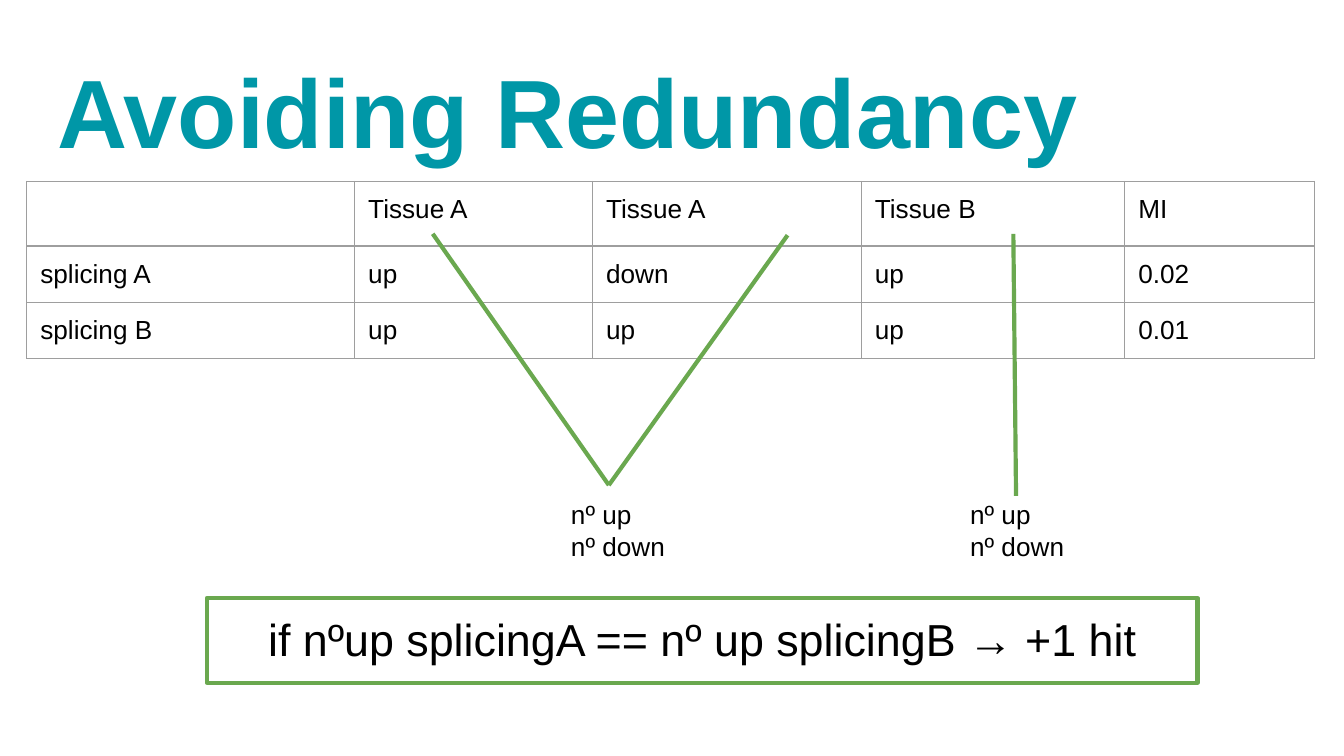
from dataclasses import dataclass

from lxml import etree
from pptx import Presentation
from pptx.dml.color import RGBColor
from pptx.enum import shapes, text
from pptx.oxml import ns
from pptx.util import Inches, Pt

COLORS = {"title": "0097A7", "body": "000000", "accent": "6AA84F", "border": "9E9E9E"}
FONT = "Arial"
BODY_SIZE = 14
MARGIN = 0.1
LINE_WIDTH = 2.25

COLUMN_WIDTHS = [2.44, 1.77, 2, 1.96, 1.41]
ROW_HEIGHTS = [0.48, 0.42, 0.42]
TABLE_ROWS = [
    ["", "Tissue A", "Tissue A", "Tissue B", "MI"],
    ["splicing A", "up", "down", "up", "0.02"],
    ["splicing B", "up", "up", "up", "0.01"],
]


@dataclass
class Link:
    start: tuple[float, float]
    end: tuple[float, float]


@dataclass
class TextBlock:
    left: float
    top: float
    width: float
    height: float
    lines: list[str]
    size: float = BODY_SIZE
    color: str = "body"
    bold: bool = False


LINKS = [
    Link((3.22, 1.74), (4.53, 3.61)),
    Link((5.86, 1.75), (4.53, 3.61)),
    Link((7.54, 1.74), (7.56, 3.69)),
]
COUNT_LINES = ["nº up", "nº down"]
COUNTS = [TextBlock(left, 3.61, 1.85, 1.4, COUNT_LINES) for left in (4.15, 7.12)]
RULE = TextBlock(
    1.54, 4.45, 7.37, 0.63, ["if nºup splicingA == nº up splicingB → +1 hit"], size=24
)
TITLE = TextBlock(
    0.33, 0.28, 9.32, 0.63, ["Avoiding Redundancy"], size=52, color="title", bold=True
)


def color_of(name: str) -> RGBColor:
    return RGBColor.from_string(COLORS[name])


def add_span(para, words: str, size: float = BODY_SIZE, color: str = "body",
             bold: bool = False) -> None:
    span = para.add_run()
    span.text = words
    span.font.name = FONT
    span.font.size = Pt(size)
    span.font.bold = bold
    span.font.color.rgb = color_of(color)


def fill_frame(frame, block: TextBlock, alignment) -> None:
    frame.word_wrap = True
    frame.vertical_anchor = text.MSO_ANCHOR.TOP
    frame.margin_left = frame.margin_right = Inches(MARGIN)
    frame.margin_top = frame.margin_bottom = Inches(MARGIN)
    for index, words in enumerate(block.lines):
        para = frame.add_paragraph() if index else frame.paragraphs[0]
        para.alignment = alignment
        add_span(para, words, block.size, block.color, block.bold)


def place(block: TextBlock) -> list[int]:
    return [Inches(n) for n in (block.left, block.top, block.width, block.height)]


def add_text(page, block: TextBlock) -> None:
    box = page.shapes.add_textbox(*place(block))
    fill_frame(box.text_frame, block, text.PP_ALIGN.LEFT)


def add_rule(page, block: TextBlock) -> None:
    box = page.shapes.add_shape(shapes.MSO_SHAPE.RECTANGLE, *place(block))
    box.shadow.inherit = False
    box.fill.background()
    box.line.color.rgb = color_of("accent")
    box.line.width = Pt(LINE_WIDTH)
    fill_frame(box.text_frame, block, text.PP_ALIGN.CENTER)


def add_link(page, link: Link) -> None:
    ends = [Inches(n) for n in (*link.start, *link.end)]
    line = page.shapes.add_connector(shapes.MSO_CONNECTOR.STRAIGHT, *ends)
    line.line.color.rgb = color_of("accent")
    line.line.width = Pt(LINE_WIDTH)
    etree.SubElement(line._element.spPr, ns.qn("a:effectLst"))


def add_borders(cell) -> None:
    properties = cell._tc.get_or_add_tcPr()
    for index, side in enumerate(("lnL", "lnR", "lnT", "lnB")):
        border = etree.Element(ns.qn(f"a:{side}"), w=str(Pt(0.75)))
        fill = etree.SubElement(border, ns.qn("a:solidFill"))
        etree.SubElement(fill, ns.qn("a:srgbClr"), val=COLORS["border"])
        properties.insert(index, border)


def fill_cell(cell, words: str) -> None:
    cell.margin_left = cell.margin_right = Inches(MARGIN)
    cell.margin_top = cell.margin_bottom = Inches(MARGIN)
    cell.fill.background()
    add_borders(cell)
    para = cell.text_frame.paragraphs[0]
    if words:
        add_span(para, words)
    else:
        etree.SubElement(para._p, ns.qn("a:endParaRPr"), sz=str(BODY_SIZE * 100))


def add_splicing_table(page) -> None:
    holder = page.shapes.add_table(
        len(ROW_HEIGHTS), len(COLUMN_WIDTHS), Inches(0.2), Inches(1.35),
        Inches(sum(COLUMN_WIDTHS)), Inches(sum(ROW_HEIGHTS)),
    )
    table = holder.table
    table.first_row = False
    table.horz_banding = False
    for column, width in zip(table.columns, COLUMN_WIDTHS):
        column.width = Inches(width)
    for row, height, values in zip(table.rows, ROW_HEIGHTS, TABLE_ROWS):
        row.height = Inches(height)
        for cell, words in zip(row.cells, values):
            fill_cell(cell, words)


def main() -> None:
    deck = Presentation()
    deck.slide_width = Inches(10)
    deck.slide_height = Inches(10 * 9 / 16)
    page = deck.slides.add_slide(deck.slide_layouts[6])
    add_splicing_table(page)
    for link in LINKS:
        add_link(page, link)
    for block in COUNTS:
        add_text(page, block)
    add_rule(page, RULE)
    add_text(page, TITLE)
    deck.save("out.pptx")


if __name__ == "__main__":
    main()
